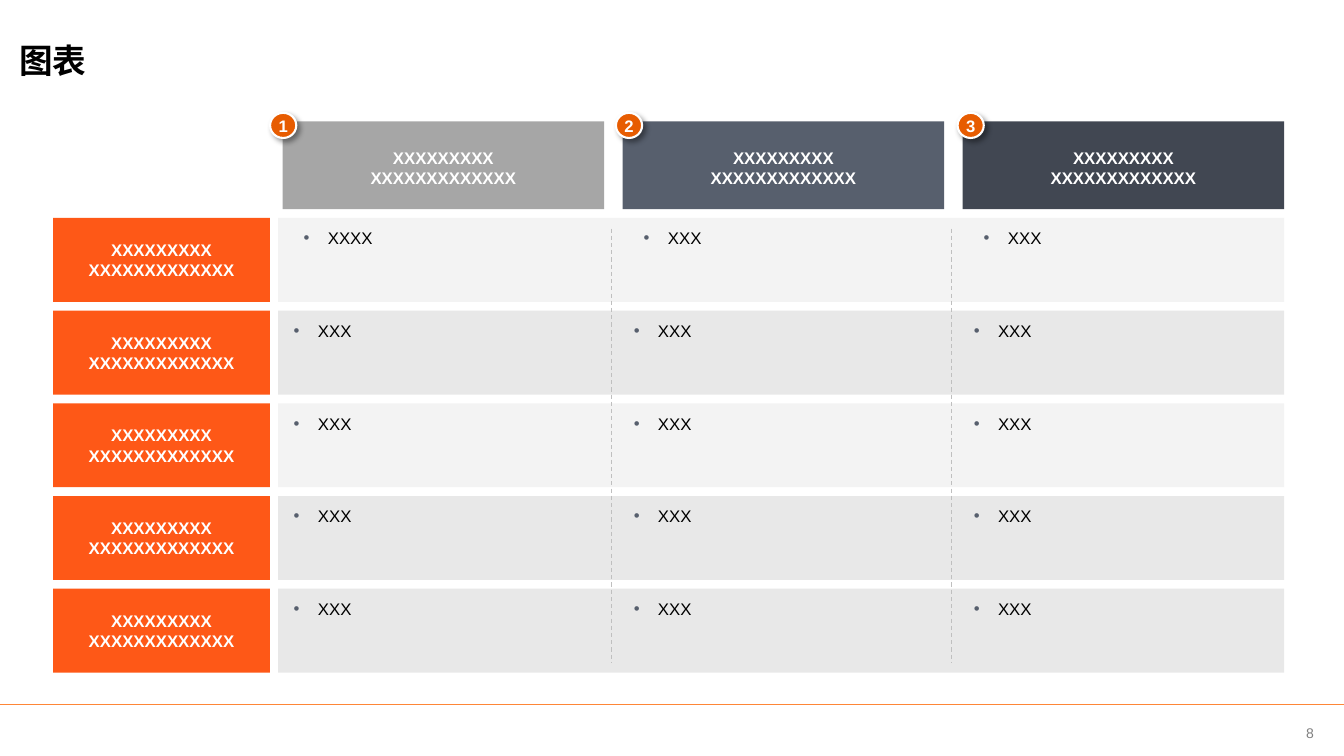
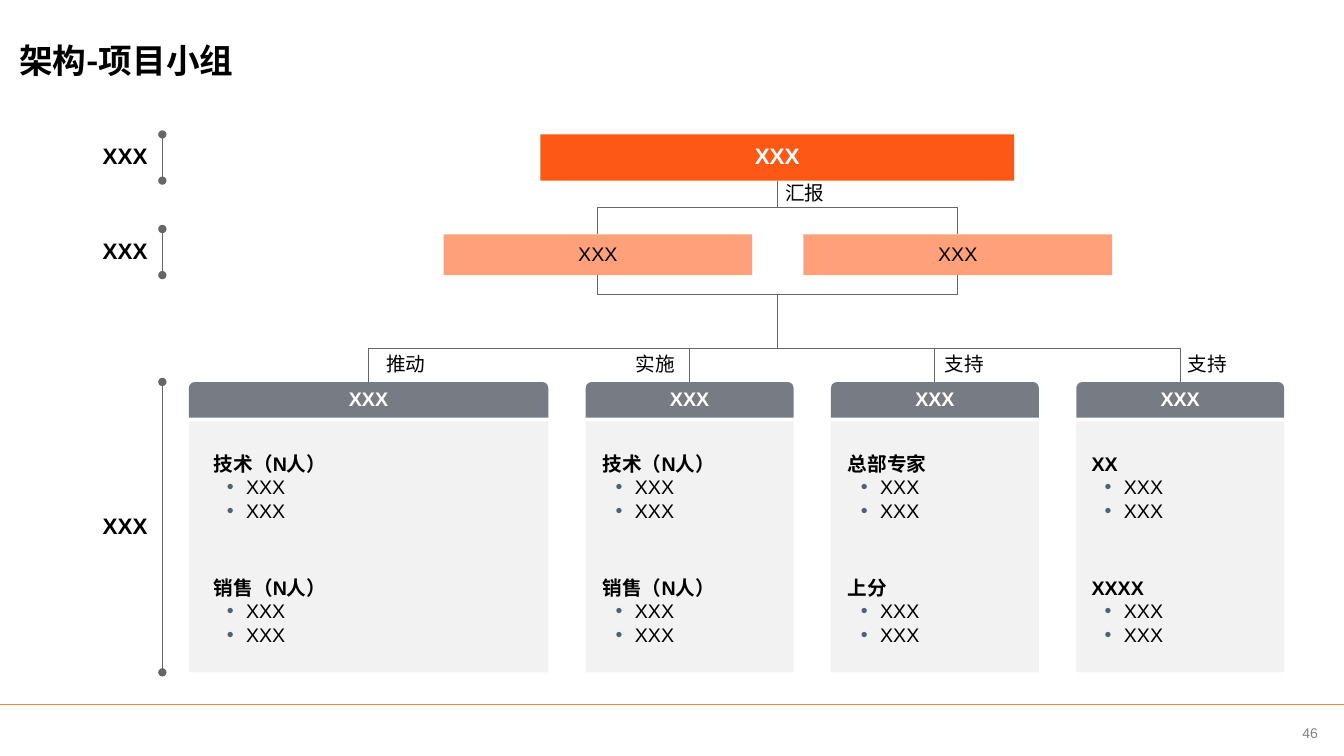
from dataclasses import dataclass

from lxml.etree import SubElement
from pptx import Presentation
from pptx.dml.color import RGBColor
from pptx.enum.dml import MSO_LINE
from pptx.enum.shapes import MSO_CONNECTOR, MSO_SHAPE
from pptx.enum.text import MSO_ANCHOR, PP_ALIGN
from pptx.oxml.ns import qn
from pptx.util import Emu, Inches, Pt

SLIDE_WIDTH, SLIDE_HEIGHT = Inches(13.33), Inches(7.5)


@dataclass(frozen=True)
class Theme:
    """Colours, fonts and type sizes of the deck."""
    black: str = "000000"
    white: str = "FFFFFF"
    orange: str = "FE5817"
    peach: str = "FEA07A"
    badge: str = "E75C01"
    rule: str = "FE8637"
    bullet: str = "575F6D"
    header: str = "777C84"
    panel: str = "F2F2F2"
    link: str = "666666"
    divider: str = "BFBFBF"
    muted: str = "808080"
    columns: tuple = ("A6A6A6", "575F6D", "414752")
    bands: tuple = ("F3F3F3", "E8E8E8", "F3F3F3", "E8E8E8", "E8E8E8")
    latin: str = "Arial"
    chinese: str = "Noto Sans CJK SC"
    title: float = 24
    level: float = 16
    body: float = 14
    cell: float = 12
    number: float = 11.9
    footer: float = 10


THEME = Theme()


def across(share):
    """Turn a percentage of the slide's width into a length."""
    return Emu(round(SLIDE_WIDTH * share / 100))


def down(share):
    """Turn a percentage of the slide's height into a length."""
    return Emu(round(SLIDE_HEIGHT * share / 100))


@dataclass(frozen=True)
class Box:
    """A region in percentages of the slide."""
    left: float
    top: float
    width: float
    height: float

    @property
    def center(self):
        """Horizontal middle."""
        return self.left + self.width / 2

    @property
    def bottom(self):
        """Lower edge."""
        return self.top + self.height

    def region(self, left, top, width, height):
        """Return a box offset from this one's corner."""
        return Box(self.left + left, self.top + top, width, height)

    def columns(self, count, gap):
        """Split into equal columns."""
        width = (self.width - gap * (count - 1)) / count
        return [self.region(i * (width + gap), 0, width, self.height) for i in range(count)]

    def rows(self, count, gap):
        """Split into equal rows."""
        height = (self.height - gap * (count - 1)) / count
        return [self.region(0, i * (height + gap), self.width, height) for i in range(count)]

    def place(self):
        """Return left, top, width and height as lengths."""
        return across(self.left), down(self.top), across(self.width), down(self.height)


@dataclass(frozen=True)
class Style:
    """How the text of a box looks."""
    size: float
    color: str = THEME.black
    bold: bool = False
    align: PP_ALIGN = PP_ALIGN.CENTER
    spacing: float = 1.0
    insets: tuple = (0.1, 0.05, 0.1, 0.05)
    anchor: MSO_ANCHOR = MSO_ANCHOR.MIDDLE
    latin: str = THEME.latin


def add_bullet(paragraph, margin, hanging):
    """Give a paragraph a coloured bullet and a hanging indent."""
    properties = paragraph._p.get_or_add_pPr()
    properties.set("marL", str(Inches(margin)))
    properties.set("indent", str(-Inches(hanging)))
    color = SubElement(properties, qn("a:buClr"))
    SubElement(color, qn("a:srgbClr")).set("val", THEME.bullet)
    SubElement(properties, qn("a:buFont")).set("typeface", THEME.latin)
    SubElement(properties, qn("a:buChar")).set("char", "•")


def add_run(paragraph, text, style, bold):
    """Append one styled run."""
    run = paragraph.add_run()
    run.text = text
    run.font.size = Pt(style.size)
    run.font.bold = bold
    run.font.color.rgb = RGBColor.from_string(style.color)
    run.font.name = style.latin
    SubElement(run._r.get_or_add_rPr(), qn("a:ea")).set("typeface", THEME.chinese)


def write(shape, lines, style, bullets=(), indent=(0.35, 0.24)):
    """Fill a shape with plain lines followed by bulleted ones."""
    frame = shape.text_frame
    frame.word_wrap = True
    frame.vertical_anchor = style.anchor
    frame.margin_left, frame.margin_top, frame.margin_right, frame.margin_bottom = map(Inches, style.insets)
    for index, text in enumerate([*lines, *bullets]):
        paragraph = frame.add_paragraph() if index else frame.paragraphs[0]
        paragraph.alignment = style.align
        paragraph.line_spacing = style.spacing
        bulleted = index >= len(lines)
        if bulleted:
            add_bullet(paragraph, *indent)
        add_run(paragraph, text, style, style.bold and not bulleted)


def add_text(slide, box, lines, style, **bullets):
    """Add a text box."""
    write(slide.shapes.add_textbox(*box.place()), lines, style, **bullets)


def add_block(slide, box, fill, lines=(), style=None, kind=MSO_SHAPE.RECTANGLE):
    """Add a filled shape without outline, with optional text."""
    shape = slide.shapes.add_shape(kind, *box.place())
    shape.shadow.inherit = False
    shape.fill.solid()
    shape.fill.fore_color.rgb = RGBColor.from_string(fill)
    shape.line.fill.background()
    if lines:
        write(shape, lines, style)
    return shape


def add_line(slide, start, end, color, width, kind=MSO_CONNECTOR.STRAIGHT):
    """Add a connector between two points given as lengths."""
    line = slide.shapes.add_connector(kind, *start, *end)
    line.line.color.rgb = RGBColor.from_string(color)
    line.line.width = Pt(width)
    SubElement(line._element.spPr, qn("a:effectLst"))
    return line


def add_branch(slide, start, end):
    """Join an upper point to a lower one, leaving and arriving vertically."""
    x1, y1, x2, y2 = across(start[0]), down(start[1]), across(end[0]), down(end[1])
    middle_x, middle_y = (x1 + x2) // 2, (y1 + y2) // 2
    half_run, half_drop = abs(x2 - x1) // 2, (y2 - y1) // 2
    branch = add_line(slide, (middle_x - half_drop, middle_y - half_run),
                      (middle_x + half_drop, middle_y + half_run),
                      THEME.link, 0.75, MSO_CONNECTOR.ELBOW)
    transform = branch._element.spPr.find(qn("a:xfrm"))
    transform.set("rot", str((270 if x2 > x1 else 90) * 60000))
    if x2 > x1:
        transform.set("flipH", "1")


def add_frame(slide, title, number):
    """Add the title, footer rule and page number shared by all slides."""
    add_line(slide, (0, down(93.15)), (SLIDE_WIDTH, down(93.15)), THEME.rule, 1)
    add_text(slide, Box(94.95, 93.87, 5.05, 6.13), [number],
             Style(THEME.footer, THEME.muted, insets=(0, 0, 0, 0)))
    add_text(slide, Box(1.43, 2.67, 89.7, 10.53), [title],
             Style(THEME.title, bold=True, align=PP_ALIGN.LEFT,
                   insets=(0, 0, 0, 0), latin=THEME.chinese))


def add_badge(slide, box, number):
    """Add a numbered disc with a soft shadow."""
    disc = add_block(slide, box, THEME.badge, [number],
                     Style(THEME.number, THEME.white, True, insets=(0, 0, 0, 0)), MSO_SHAPE.OVAL)
    disc.line.color.rgb = RGBColor.from_string(THEME.white)
    disc.line.width = Pt(1.5)
    effects = disc._element.spPr.find(qn("a:effectLst"))
    shadow = SubElement(effects, qn("a:outerShdw"), blurRad=str(Pt(4)), dist=str(Pt(3)),
                        dir=str(45 * 60000), algn="tl", rotWithShape="0")
    color = SubElement(shadow, qn("a:srgbClr"), val=THEME.black)
    SubElement(color, qn("a:alpha"), val="40000")


def add_matrix(slide, box, headings, cells):
    """Add a matrix with row labels, numbered columns and bulleted cells."""
    label_width, columns_left, rows_top = 16.14, 17.08, 12.76
    grid = box.region(columns_left, rows_top, box.width - columns_left, box.height - rows_top)
    columns = grid.columns(3, 1.38)
    label_style = Style(THEME.cell, THEME.white, True, insets=(0, 0.1, 0, 0.1))
    heading_style = Style(THEME.cell, THEME.white, True, insets=(0.1, 0.1, 0.1, 0.05))
    for index, (row, fill, texts) in enumerate(zip(grid.rows(5, 1.16), THEME.bands, cells)):
        add_block(slide, row.region(-0.33, 0, row.width + 0.33, row.height), fill)
        add_block(slide, row.region(-columns_left, 0, label_width, row.height),
                  THEME.orange, headings, label_style)
        side = 0 if index else 0.1
        cell_style = Style(THEME.cell, align=PP_ALIGN.LEFT, anchor=MSO_ANCHOR.TOP,
                           insets=(side, 0.1, side, 0.1))
        for column, text in zip(columns, texts):
            add_text(slide, Box(column.left, row.top, column.width, row.height),
                     [], cell_style, bullets=[text])
    for column in columns[1:]:
        x = across(column.left - 0.83)
        divider = add_line(slide, (x, down(grid.top + 1.4)), (x, down(grid.bottom - 1.4)),
                           THEME.divider, 0.75)
        divider.line.dash_style = MSO_LINE.DASH
    for index, (column, shift) in enumerate(zip(columns, (-0.93, -0.5, -0.38))):
        heading = Box(column.left, box.top, column.width, 11.6)
        add_block(slide, heading, THEME.columns[index], headings, heading_style)
        add_badge(slide, heading.region(shift, -1.14, 1.95, 3.33), str(index + 1))


def add_level(slide, box, label):
    """Add a level label with a dotted-end bracket on its right."""
    add_text(slide, box, [label],
             Style(THEME.level, bold=True, align=PP_ALIGN.RIGHT, spacing=0.9))
    x = across(box.left + box.width + 0.37)
    bracket = add_line(slide, (x, down(box.top)), (x, down(box.bottom)), THEME.link, 1)
    outline = bracket._element.spPr.find(qn("a:ln"))
    for end in ("a:headEnd", "a:tailEnd"):
        SubElement(outline, qn(end), type="oval")


def add_team(slide, box, pad, groups):
    """Add a team column with its header and groups of members."""
    add_block(slide, box.region(0, 5.2, box.width, box.height - 5.2), THEME.panel)
    add_block(slide, box.region(0, 0, box.width, 4.7), THEME.header, ["XXX"],
              Style(THEME.body, THEME.white, True, spacing=0.9), MSO_SHAPE.ROUND_2_SAME_RECTANGLE)
    for index, group in enumerate(groups):
        add_text(slide, box.region(pad, 6.67 + 16.4 * index, box.width - 2 * pad, 14.4), [group],
                 Style(THEME.body, bold=True, align=PP_ALIGN.LEFT),
                 bullets=["XXX", "XXX"], indent=(0.32, 0.19))


def add_organization(slide, box, teams):
    """Add a three-level organization chart."""
    plain = Style(THEME.body, spacing=0.9)
    lead = box.region(35.47, 0, 35.25, 6.1)
    deputies = box.region(28.27, 13.21, 49.75, 5.4).columns(2, 3.81)
    hub = (lead.center, box.top + 23.8)
    add_block(slide, lead, THEME.orange, ["XXX"], Style(THEME.level, THEME.white, True, spacing=0.9))
    for deputy in deputies:
        add_block(slide, deputy, THEME.peach, ["XXX"], plain)
        add_branch(slide, (lead.center, lead.bottom), (deputy.center, deputy.top))
        add_branch(slide, (deputy.center, deputy.bottom), hub)
    teams_top, teams_left, gap, wide = 32.74, 9.32, 2.78, 26.75
    narrow = (box.width - teams_left - wide - gap * (len(teams) - 1)) / (len(teams) - 1)
    left = teams_left
    for index, (role, shift, pad, groups) in enumerate(teams):
        team = box.region(left, teams_top, narrow if index else wide, box.height - teams_top)
        add_team(slide, team, pad, groups)
        add_branch(slide, hub, (team.center, team.top))
        add_text(slide, Box(team.center + shift, team.top - 4, 4.65, 3.6), [role], plain)
        left += team.width + gap
    add_text(slide, Box(lead.center + 0.22, lead.bottom, 3.68, 3.6), ["汇报"],
             Style(THEME.body, spacing=0.9, insets=(0, 0, 0, 0)))
    for top, height in ((0, 6.1), (12.5, 6.1), (teams_top, box.height - teams_top)):
        add_level(slide, box.region(0, top, 6.98, height), "XXX")


def main():
    """Build and save the deck."""
    presentation = Presentation()
    presentation.slide_width, presentation.slide_height = SLIDE_WIDTH, SLIDE_HEIGHT
    blank = presentation.slide_layouts[6]

    slide = presentation.slides.add_slide(blank)
    add_frame(slide, "图表", "8")
    cells = [("XXXX", "XXX", "XXX")] + [("XXX",) * 3] * 4
    add_matrix(slide, Box(3.95, 16.07, 91.6, 72.9), ["X" * 9, "X" * 13], cells)

    slide = presentation.slides.add_slide(blank)
    add_frame(slide, "架构-项目小组", "46")
    staff = ("技术（N人）", "销售（N人）")
    teams = [("推动", 0.45, 1.12, staff), ("实施", -4.88, 0.52, staff),
             ("支持", -0.15, 0.52, ("总部专家", "上分")), ("支持", -0.3, 0.4, ("XX", "XXXX"))]
    add_organization(slide, Box(4.73, 17.79, 90.82, 71.14), teams)
    presentation.save("out.pptx")


if __name__ == "__main__":
    main()
